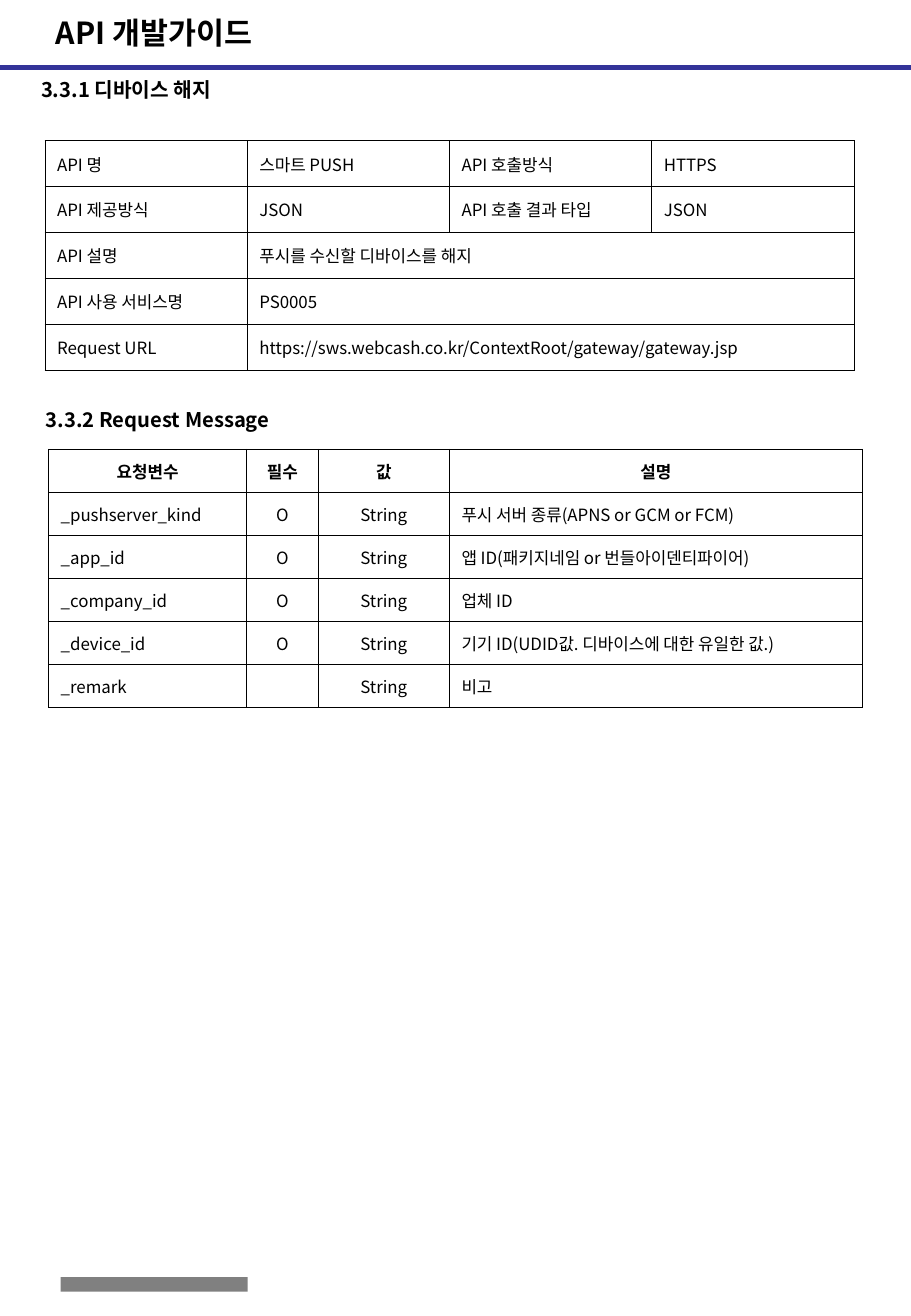
from dataclasses import dataclass

from lxml.etree import SubElement
from pptx import Presentation
from pptx.dml.color import RGBColor
from pptx.enum.shapes import MSO_CONNECTOR, MSO_SHAPE
from pptx.enum.text import MSO_ANCHOR, MSO_AUTO_SIZE, PP_ALIGN
from pptx.oxml import parse_xml
from pptx.oxml.ns import nsdecls, qn
from pptx.util import Pt

SCALE = 9144  # EMU per px, 100 px to the inch


@dataclass(frozen=True)
class Theme:
    font: str = "Noto Sans CJK KR"
    ink: str = "000000"
    rule: str = "333399"
    muted: str = "808080"
    title: int = 18
    heading: int = 12
    body: int = 10
    rule_width: float = 3
    border_width: float = 0.45


THEME = Theme()

API_ROWS = [
    ["API 명", "스마트 PUSH", "API 호출방식", "HTTPS"],
    ["API 제공방식", "JSON", "API 호출 결과 타입", "JSON"],
    ["API 설명", "푸시를 수신할 디바이스를 해지"],
    ["API 사용 서비스명", "PS0005"],
    ["Request URL", "https://sws.webcash.co.kr/ContextRoot/gateway/gateway.jsp"],
]
REQUEST_ROWS = [
    ["요청변수", "필수", "값", "설명"],
    ["_pushserver_kind", "O", "String", "푸시 서버 종류(APNS or GCM or FCM)"],
    ["_app_id", "O", "String", "앱 ID(패키지네임 or 번들아이덴티파이어)"],
    ["_company_id", "O", "String", "업체 ID"],
    ["_device_id", "O", "String", "기기 ID(UDID값. 디바이스에 대한 유일한 값.)"],
    ["_remark", "", "String", "비고"],
]


def px(*lengths):
    return [length * SCALE for length in lengths]


def apply(target, values):
    for name, value in values.items():
        setattr(target, name, value)


def add_run(paragraph, text, size, bold=False):
    run = paragraph.add_run()
    run.text = text
    apply(run.font, {"size": Pt(size), "bold": bold, "name": THEME.font})
    run.font.color.rgb = RGBColor.from_string(THEME.ink)
    SubElement(run.font._element, qn("a:ea")).set("typeface", THEME.font)


def format_frame(frame):
    apply(frame, {
        "word_wrap": True,
        "auto_size": MSO_AUTO_SIZE.NONE,
        "vertical_anchor": MSO_ANCHOR.TOP,
        "margin_left": 10 * SCALE, "margin_right": 10 * SCALE,
        "margin_top": 5 * SCALE, "margin_bottom": 5 * SCALE,
    })
    paragraph = frame.paragraphs[0]
    paragraph.alignment = PP_ALIGN.LEFT
    return paragraph


def add_header(slide, box):
    # Title and the rule across the page
    title = slide.shapes.title
    left, top, width, height = box
    bounds = px(left + 36, top + 7, width - 64, height - 16)
    apply(title, dict(zip(("left", "top", "width", "height"), bounds)))
    add_run(format_frame(title.text_frame), "API 개발가이드", THEME.title, True)

    rule_y = top + height
    rule = slide.shapes.add_connector(
        MSO_CONNECTOR.STRAIGHT, *px(left, rule_y, left + width, rule_y))
    rule.line.color.rgb = RGBColor.from_string(THEME.rule)
    rule.line.width = Pt(THEME.rule_width)
    SubElement(rule._element.spPr, qn("a:effectLst"))


def add_heading(slide, box, text):
    shape = slide.shapes.add_textbox(*px(*box))
    add_run(format_frame(shape.text_frame), text, THEME.heading, True)


def format_cell(cell, text, bold, centered):
    cell.vertical_anchor = MSO_ANCHOR.MIDDLE
    cell.fill.background()
    properties = cell._tc.get_or_add_tcPr()
    for position, side in enumerate("LRTB"):
        properties.insert(position, parse_xml(
            f'<a:ln{side} {nsdecls("a")} w="{Pt(THEME.border_width)}">'
            f'<a:solidFill><a:srgbClr val="{THEME.ink}"/></a:solidFill></a:ln{side}>'))
    paragraph = cell.text_frame.paragraphs[0]
    paragraph.alignment = PP_ALIGN.CENTER if centered else PP_ALIGN.LEFT
    if text:
        add_run(paragraph, text, THEME.body, bold)
    else:
        end = SubElement(paragraph._p, qn("a:endParaRPr"))
        end.set("sz", str(THEME.body * 100))


def add_grid(slide, box, rows, column_shares, header=False, centered_columns=()):
    # Short rows stretch their last cell to the right edge
    column_count = len(column_shares)
    table = slide.shapes.add_table(len(rows), column_count, *px(*box)).table
    apply(table, {"first_row": header, "horz_banding": False})
    width, height = px(*box[2:])
    for column, share in zip(table.columns, column_shares):
        column.width = width * share // sum(column_shares)
    for row_index, values in enumerate(rows):
        table.rows[row_index].height = height // len(rows)
        is_header = header and row_index == 0
        padded = values + [""] * (column_count - len(values))
        for column_index, text in enumerate(padded):
            format_cell(table.cell(row_index, column_index), text, is_header,
                        is_header or column_index in centered_columns)
        if len(values) < column_count:
            table.cell(row_index, len(values) - 1).merge(
                table.cell(row_index, column_count - 1))


def add_api_section(slide, box):
    left, top, width, height = box
    add_heading(slide, (left, top, width, 30), "3.3.1 디바이스 해지")
    add_grid(slide, (left + 13, top + 57, 666, height - 57), API_ROWS, [1] * 4)


def add_request_section(slide, box):
    left, top, width, height = box
    add_heading(slide, (left, top, width, 30), "3.3.2 Request Message")
    add_grid(slide, (left + 12, top + 39, 670, height - 39), REQUEST_ROWS,
             [163, 59, 108, 340], header=True, centered_columns=(1, 2))


def add_footer(slide, box):
    # One plain bar
    bar = slide.shapes.add_shape(MSO_SHAPE.RECTANGLE, *px(*box))
    bar.shadow.inherit = False
    bar.fill.solid()
    bar.fill.fore_color.rgb = RGBColor.from_string(THEME.muted)
    bar.line.fill.background()


def main():
    presentation = Presentation()
    presentation.slide_width, presentation.slide_height = px(750, 1084)
    slide = presentation.slides.add_slide(presentation.slide_layouts[5])
    add_header(slide, (0, 0, 750, 56))
    add_api_section(slide, (24, 59, 697, 246))
    add_request_section(slide, (28, 331, 694, 252))
    add_footer(slide, (50, 1052, 154, 12))
    presentation.save("out.pptx")


if __name__ == "__main__":
    main()
